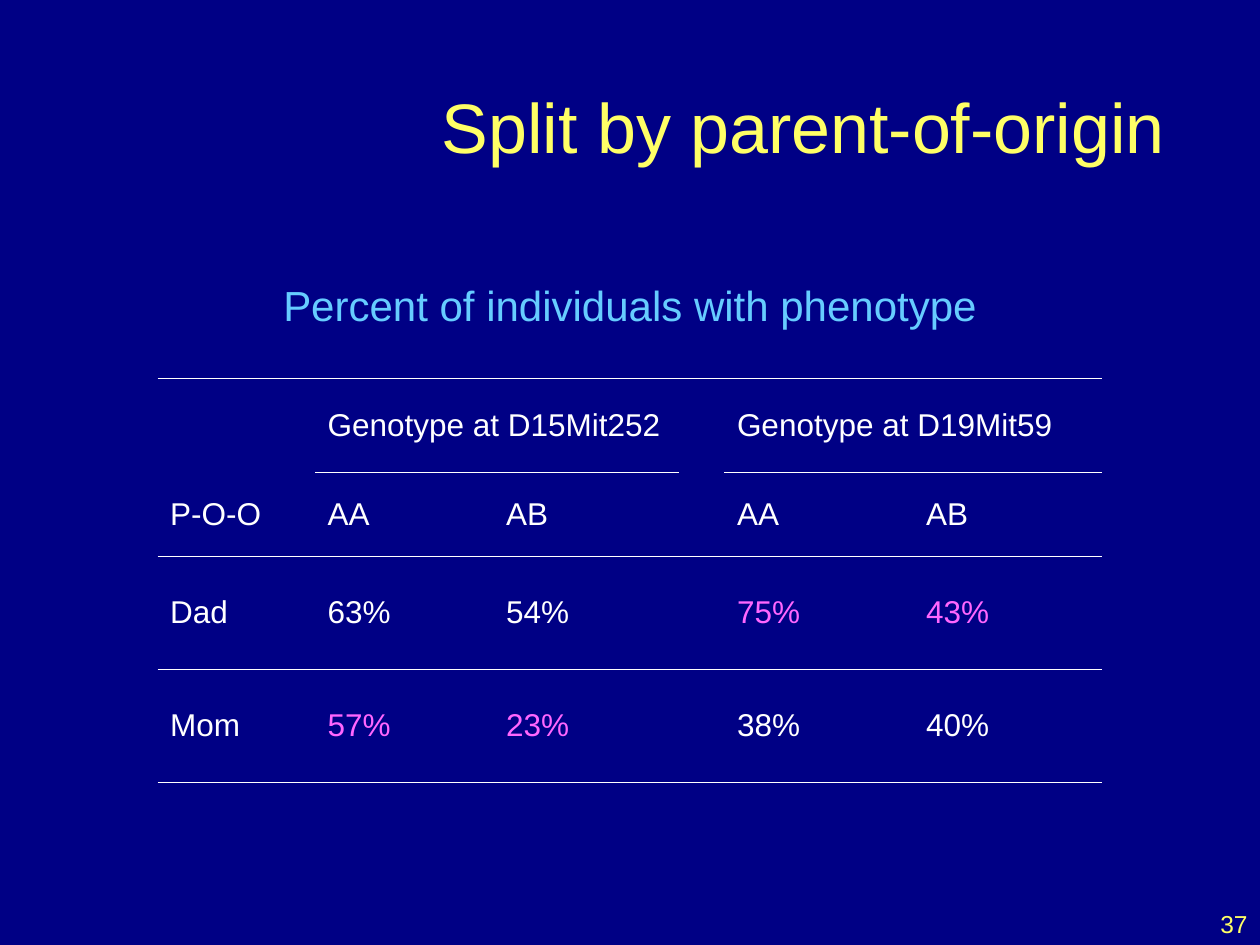
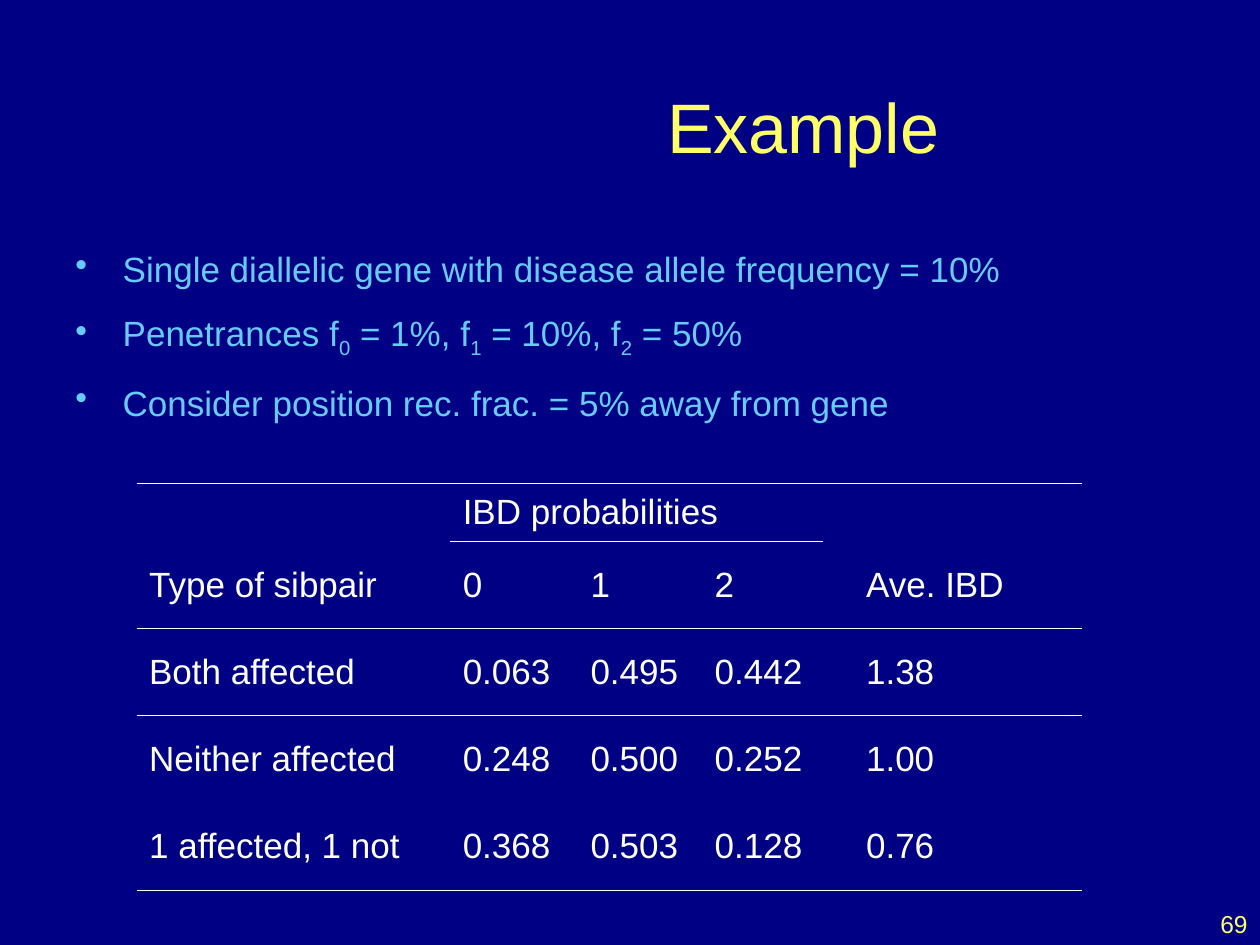
from dataclasses import dataclass

from pptx import Presentation
from pptx.dml.color import RGBColor
from pptx.enum.text import MSO_ANCHOR as Anchor, MSO_AUTO_SIZE as AutoSize, PP_ALIGN as Align
from pptx.oxml import parse_xml
from pptx.oxml.ns import nsdecls, qn
from pptx.util import Pt

COLORS = {
    "background": "000085",
    "title": "FFFF66",
    "body": "66CCFF",
    "cell": "FFFFFF",
    "highlight": "FF66FF",
    "rule": "FFFFFF",
}
FONT = "Arial"
NO_STYLE = "{2D5ABB26-0587-4C30-8999-92F81FD0307C}"
TITLE_ONLY = 5


@dataclass(frozen=True)
class Box:
    left: float
    top: float
    width: float
    height: float


@dataclass(frozen=True)
class GroupHeading:
    """A heading in the top row, spanning and underlining its columns."""
    first: int
    last: int


@dataclass(frozen=True)
class ResultTable:
    left: float
    top: float
    widths: tuple[float, ...]
    heights: tuple[float, ...]
    size: float
    rows: tuple[tuple[str, ...], ...]
    groups: tuple[GroupHeading, ...]
    highlights: frozenset[tuple[int, int]] = frozenset()


TITLE_BOX = Box(198, 18, 522, 108)
NUMBER_BOX = Box(570, 504, 150, 36)
CAPTION_BOX = Box(0, 156, 720, 36)
POINTS_BOX = Box(36, 138, 666, 120)

PHENOTYPES = ResultTable(
    90, 216, (90, 102, 106, 26, 108, 108), (54, 48, 64.6, 64.6), 18,
    (
        ("", "Genotype at D15Mit252", "", "", "Genotype at D19Mit59", ""),
        ("P-O-O", "AA", "AB", "", "AA", "AB"),
        ("Dad", "63%", "54%", "", "75%", "43%"),
        ("Mom", "57%", "23%", "", "38%", "40%"),
    ),
    (GroupHeading(1, 2), GroupHeading(4, 5)),
    frozenset({(2, 4), (2, 5), (3, 1), (3, 2)}),
)
SIBPAIRS = ResultTable(
    78, 276, (162, 17, 73, 71, 69, 17.5, 130.5), (33.5,) + (49.8,) * 4, 20,
    (
        ("", "", "IBD probabilities", "", "", "", ""),
        ("Type of sibpair", "", "0", "1", "2", "", "Ave. IBD"),
        ("Both affected", "", "0.063", "0.495", "0.442", "", "1.38"),
        ("Neither affected", "", "0.248", "0.500", "0.252", "", "1.00"),
        ("1 affected, 1 not", "", "0.368", "0.503", "0.128", "", "0.76"),
    ),
    (GroupHeading(2, 4),),
)
# Every second piece of a point is a subscript
POINTS = (
    ("Single diallelic gene with disease allele frequency = 10%",),
    ("Penetrances f", "0", " = 1%, f", "1", " = 10%, f", "2", " = 50%"),
    ("Consider position rec. frac. = 5% away from gene",),
)


# Text
def set_all(target, values: dict) -> None:
    for name, value in values.items():
        setattr(target, name, value)


def style(font, size: float, color: str) -> None:
    set_all(font, {"name": FONT, "size": Pt(size), "bold": False})
    font.color.rgb = RGBColor.from_string(COLORS[color])


def write(paragraph, text: str, size: float, color: str, align=Align.LEFT) -> None:
    paragraph.alignment = align
    run = paragraph.add_run()
    run.text = text
    style(run.font, size, color)


def place(box: Box) -> tuple:
    return Pt(box.left), Pt(box.top), Pt(box.width), Pt(box.height)


def add_text_frame(slide, box: Box, anchor=Anchor.TOP):
    frame = slide.shapes.add_textbox(*place(box)).text_frame
    set_all(frame, {"word_wrap": True, "vertical_anchor": anchor})
    return frame


# Shared slide parts
def add_slide(prs, heading: str, number: int):
    slide = prs.slides.add_slide(prs.slide_layouts[TITLE_ONLY])
    title = slide.shapes.title
    set_all(title, dict(zip(("left", "top", "width", "height"), place(TITLE_BOX))))
    set_all(title.text_frame, {"vertical_anchor": Anchor.MIDDLE, "auto_size": AutoSize.NONE})
    write(title.text_frame.paragraphs[0], heading, 40, "title", Align.CENTER)
    footer = add_text_frame(slide, NUMBER_BOX, Anchor.BOTTOM)
    write(footer.paragraphs[0], str(number), 14, "title", Align.RIGHT)
    return slide


def add_points(slide, points: tuple[tuple[str, ...], ...]) -> None:
    frame = add_text_frame(slide, POINTS_BOX)
    for index, pieces in enumerate(points):
        paragraph = frame.add_paragraph() if index else frame.paragraphs[0]
        if index:
            paragraph.space_before = Pt(12.5)
        properties = paragraph._p.get_or_add_pPr()
        properties.set("marL", str(Pt(27)))
        properties.set("indent", str(-Pt(27)))
        properties.append(parse_xml(
            f'<a:buClr {nsdecls("a")}><a:srgbClr val="{COLORS["body"]}"/></a:buClr>'))
        properties.append(parse_xml(f'<a:buChar {nsdecls("a")} char="•"/>'))
        for position, piece in enumerate(pieces):
            write(paragraph, piece, 20, "body")
            if position % 2:
                paragraph.runs[-1]._r.get_or_add_rPr().set("baseline", "-25000")


# Tables
def draw_edge(cell, side: str) -> None:
    properties = cell._tc.get_or_add_tcPr()
    line = parse_xml(
        f'<a:{side} {nsdecls("a")} w="{Pt(0.45)}"><a:solidFill>'
        f'<a:srgbClr val="{COLORS["rule"]}"/></a:solidFill></a:{side}>')
    # The top edge comes before the bottom edge
    after_top = side == "lnB" and properties.find(qn("a:lnT")) is not None
    properties.insert(1 if after_top else 0, line)


def draw_rule(table, below: int, columns) -> None:
    """Rule under row number `below`; -1 is the top of the table."""
    for column in columns:
        if below >= 0:
            draw_edge(table.cell(below, column), "lnB")
        if below + 1 < len(table.rows):
            draw_edge(table.cell(below + 1, column), "lnT")


def add_results(slide, results: ResultTable) -> None:
    row_count, column_count = len(results.heights), len(results.widths)
    box = Box(results.left, results.top, sum(results.widths), sum(results.heights))
    table = slide.shapes.add_table(row_count, column_count, *place(box)).table
    set_all(table, {"first_row": False, "horz_banding": False})
    table._tbl.tblPr.find(qn("a:tableStyleId")).text = NO_STYLE
    for column, width in zip(table.columns, results.widths):
        column.width = Pt(width)
    for row, height in zip(table.rows, results.heights):
        row.height = Pt(height)

    for r, texts in enumerate(results.rows):
        for c, text in enumerate(texts):
            cell = table.cell(r, c)
            cell.vertical_anchor = Anchor.MIDDLE
            cell.fill.background()
            if text:
                color = "highlight" if (r, c) in results.highlights else "cell"
                write(cell.text_frame.paragraphs[0], text, results.size, color)

    for below in (-1, 1, row_count - 1):
        draw_rule(table, below, range(column_count))
    for group in results.groups:
        draw_rule(table, 0, range(group.first, group.last + 1))
        table.cell(0, group.first).merge(table.cell(0, group.last))


def main() -> None:
    prs = Presentation()
    set_all(prs, {"slide_width": Pt(720), "slide_height": Pt(540)})
    backdrop = prs.slide_master.background.fill
    backdrop.solid()
    backdrop.fore_color.rgb = RGBColor.from_string(COLORS["background"])

    # Phenotype by parent of origin
    split = add_slide(prs, "Split by parent-of-origin", 37)
    add_results(split, PHENOTYPES)
    caption = add_text_frame(split, CAPTION_BOX)
    write(caption.paragraphs[0], "Percent of individuals with phenotype", 24, "body", Align.CENTER)

    # IBD sharing by type of sibpair
    example = add_slide(prs, "Example", 69)
    add_points(example, POINTS)
    add_results(example, SIBPAIRS)

    prs.save("out.pptx")


if __name__ == "__main__":
    main()
